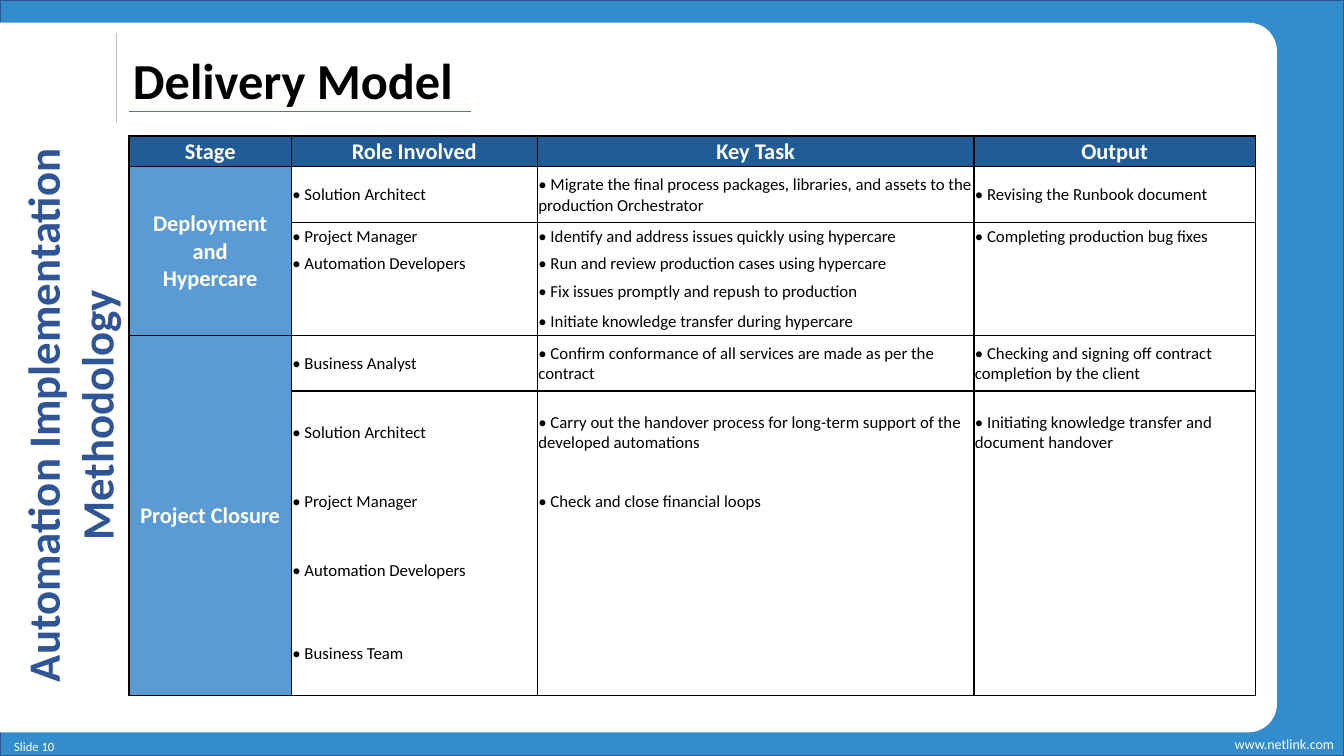
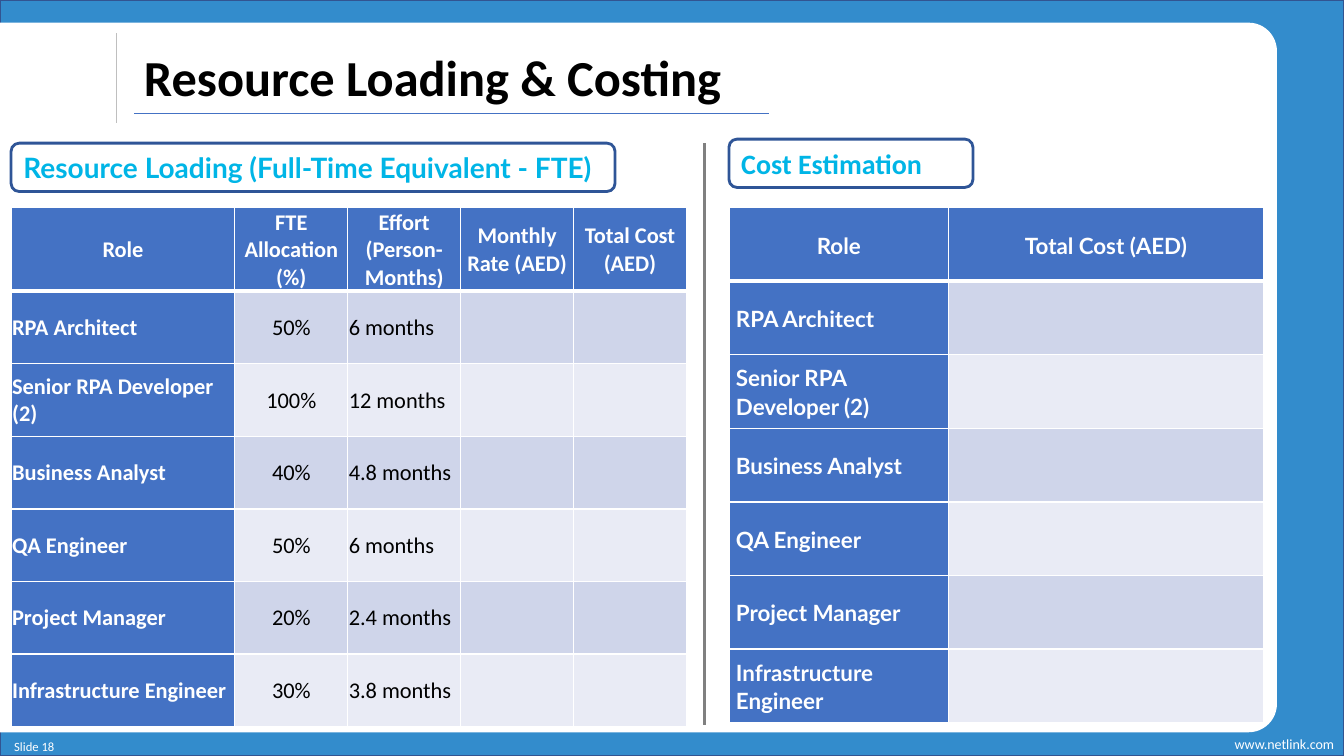
from dataclasses import dataclass, replace
from typing import Optional

from lxml.etree import SubElement
from pptx import Presentation
from pptx.dml.color import RGBColor
from pptx.enum.shapes import MSO_CONNECTOR, MSO_SHAPE
from pptx.enum.text import MSO_ANCHOR as Anchor, PP_ALIGN as Align
from pptx.oxml.ns import qn
from pptx.util import Inches, Pt

COLORS = {
    "frame": "0070C0",
    "frame_line": "325491",
    "white": "FFFFFF",
    "black": "000000",
    "divider": "BFBFBF",
    "separator": "808080",
    "accent": "4472C4",
    "navy": "2F5597",
    "cyan": "00B5E6",
    "stage_header": "215C98",
    "stage": "5B9BD5",
    "band_dark": "CFD5EA",
    "band_light": "E9EBF5",
}
PLAIN_TABLE_STYLE = "{2D5ABB26-0587-4C30-8999-92F81FD0307C}"
TIGHT = (0.01, 0.01, 0.01, 0)


@dataclass(frozen=True)
class Box:
    left: float
    top: float
    width: float
    height: float

    def lengths(self) -> list:
        return [Inches(v) for v in (self.left, self.top, self.width, self.height)]


@dataclass(frozen=True)
class TextStyle:
    size: float
    color: str = "white"
    bold: bool = False
    font: str = "Calibri"
    align: Align = Align.LEFT
    spacing: Optional[float] = None


@dataclass(frozen=True)
class CellStyle:
    text: TextStyle
    fill: str
    insets: tuple = TIGHT


@dataclass(frozen=True)
class Rule:
    start: tuple
    end: tuple
    color: str
    width: float


@dataclass(frozen=True)
class Stage:
    name: str
    heights: tuple
    columns: tuple


FOOTER_URL = TextStyle(10, align=Align.RIGHT)
FOOTER_NUMBER = TextStyle(9, align=Align.CENTER)
TITLE = TextStyle(36, "black", True)
SIDE_TITLE = TextStyle(32, "navy", True, align=Align.CENTER)
LABEL = TextStyle(20, "cyan", True)
HEADING = TextStyle(16, bold=True, align=Align.CENTER)
HEADING_LEFT = replace(HEADING, align=Align.LEFT)
TASK = CellStyle(TextStyle(12, "black"), "white")

STAGES = (
    Stage("Deployment\nand\nHypercare", (0.56, 0.27, 0.27, 0.29, 0.29), (
        ("Solution Architect", "Project Manager", "Automation Developers"),
        ("Migrate the final process packages, libraries, and assets to the "
         "production Orchestrator",
         "Identify and address issues quickly using hypercare",
         "Run and review production cases using hypercare",
         "Fix issues promptly and repush to production",
         "Initiate knowledge transfer during hypercare"),
        ("Revising the Runbook document", "Completing production bug fixes"),
    )),
    Stage("Project Closure", (0.55, 0.82, 0.55, 0.82, 0.83), (
        ("Business Analyst", "Solution Architect", "Project Manager",
         "Automation Developers", "Business Team"),
        ("Confirm conformance of all services are made as per the contract",
         "Carry out the handover process for long-term support of the "
         "developed automations",
         "Check and close financial loops"),
        ("Checking and signing off contract completion by the client",
         "Initiating knowledge transfer and document handover"),
    )),
)
RESOURCES = (
    ("RPA Architect", "50%", "6 months"),
    ("Senior RPA Developer (2)", "100%", "12 months"),
    ("Business Analyst", "40%", "4.8 months"),
    ("QA Engineer", "50%", "6 months"),
    ("Project Manager", "20%", "2.4 months"),
    ("Infrastructure Engineer", "30%", "3.8 months"),
)


def rgb(name: str) -> RGBColor:
    return RGBColor.from_string(COLORS[name])


def write(frame, text: str, style: TextStyle) -> None:
    font_values = {"size": Pt(style.size), "name": style.font, "bold": style.bold}
    for index, line in enumerate(text.split("\n")):
        paragraph = frame.paragraphs[0] if index == 0 else frame.add_paragraph()
        paragraph.alignment = style.align
        if style.spacing:
            paragraph.line_spacing = style.spacing
        if not line:
            # Keeps an empty cell from growing its row.
            paragraph._p.get_or_add_endParaRPr().set("sz", str(int(style.size * 100)))
            continue
        run = paragraph.add_run()
        run.text = line
        for name, value in font_values.items():
            setattr(run.font, name, value)
        run.font.color.rgb = rgb(style.color)


def add_text(slide, box: Box, text: str, style: TextStyle,
             anchor: Anchor = Anchor.TOP, rotation: float = 0) -> None:
    shape = slide.shapes.add_textbox(*box.lengths())
    shape.rotation = rotation
    shape.text_frame.word_wrap = True
    shape.text_frame.vertical_anchor = anchor
    write(shape.text_frame, text, style)


def add_panel(slide, kind: MSO_SHAPE, box: Box, fill: Optional[str] = None,
              line: Optional[str] = None, width: float = 1):
    shape = slide.shapes.add_shape(kind, *box.lengths())
    shape.shadow.inherit = False
    if fill:
        shape.fill.solid()
        shape.fill.fore_color.rgb = rgb(fill)
    else:
        shape.fill.background()
    if line:
        shape.line.color.rgb = rgb(line)
        shape.line.width = Pt(width)
    else:
        shape.line.fill.background()
    return shape


def add_rule(slide, rule: Rule) -> None:
    ends = [Inches(v) for v in rule.start + rule.end]
    connector = slide.shapes.add_connector(MSO_CONNECTOR.STRAIGHT, *ends)
    connector.line.color.rgb = rgb(rule.color)
    connector.line.width = Pt(rule.width)
    SubElement(connector._element.spPr, qn("a:effectLst"))


def add_label(slide, box: Box, text: str, style: TextStyle) -> None:
    shape = add_panel(slide, MSO_SHAPE.ROUNDED_RECTANGLE, box, line="navy", width=2)
    shape.text_frame.word_wrap = True
    shape.text_frame.vertical_anchor = Anchor.TOP
    write(shape.text_frame, text, style)


def add_framed_slide(presentation, number: int):
    """Add a blank slide with the blue frame, footer and title divider."""
    slide = presentation.slides.add_slide(presentation.slide_layouts[6])
    frame = add_panel(slide, MSO_SHAPE.RECTANGLE, Box(0, 0, 13.33, 7.5),
                      "frame", "frame_line")
    color = frame._element.spPr.find(qn("a:solidFill"))[0]
    SubElement(color, qn("a:alpha"), val="80000")
    page = add_panel(slide, MSO_SHAPE.ROUND_2_SAME_RECTANGLE,
                     Box(2.81, -2.59, 7.04, 12.67), "white")
    page.rotation = 90
    page.adjustments[0], page.adjustments[1] = 0.04, 0
    add_text(slide, Box(9.11, 7.27, 4.22, 0.23), "www.netlink.com",
             FOOTER_URL, Anchor.MIDDLE)
    add_text(slide, Box(-0.01, 7.28, 0.7, 0.22), f"Slide {number}", FOOTER_NUMBER)
    add_rule(slide, Rule((1.15, 0.33), (1.15, 1.22), "divider", 0.5))
    return slide


def add_table(slide, left: float, top: float, widths: tuple, heights: tuple):
    box = Box(left, top, sum(widths), sum(heights))
    table = slide.shapes.add_table(len(heights), len(widths), *box.lengths()).table
    table.first_row = table.horz_banding = False
    table._tbl.tblPr.find(qn("a:tableStyleId")).text = PLAIN_TABLE_STYLE
    for column, width in zip(table.columns, widths):
        column.width = Inches(width)
    for row, height in zip(table.rows, heights):
        row.height = Inches(height)
    return table


def set_cell(cell, text: str, style: CellStyle, color: str, borders: dict) -> None:
    """Fill one cell; borders maps the edges L, R, T, B to widths in points."""
    properties = cell._tc.get_or_add_tcPr()
    for edge in "LRTB":
        if edge in borders:
            line = SubElement(properties, qn(f"a:ln{edge}"), w=str(Pt(borders[edge])))
            solid = SubElement(line, qn("a:solidFill"))
            SubElement(solid, qn("a:srgbClr"), val=COLORS[color])
    cell.fill.solid()
    cell.fill.fore_color.rgb = rgb(style.fill)
    cell.vertical_anchor = Anchor.MIDDLE
    for side, inset in zip(("left", "top", "right", "bottom"), style.insets):
        setattr(cell, f"margin_{side}", Inches(inset))
    write(cell.text_frame, text, style.text)


def add_stage_table(slide) -> None:
    heights = (0.3,) + sum((stage.heights for stage in STAGES), ())
    table = add_table(slide, 1.28, 1.35, (1.61, 2.44, 4.33, 2.79), heights)
    box_edges = dict.fromkeys("LRTB", 1)
    for column, text in enumerate(("Stage", "Role Involved", "Key Task", "Output")):
        set_cell(table.cell(0, column), text, CellStyle(HEADING, "stage_header"),
                 "black", box_edges)
    first = 1
    for stage in STAGES:
        count = len(stage.heights)
        table.cell(first, 0).merge(table.cell(first + count - 1, 0))
        set_cell(table.cell(first, 0), stage.name, CellStyle(HEADING, "stage"),
                 "black", box_edges)
        for column, items in enumerate(stage.columns, 1):
            for index in range(count):
                edges = {"L": 1, "R": 1}
                if index == 0:
                    edges["T"] = 1
                if index == count - 1:
                    edges["B"] = 1
                text = f"• {items[index]}" if index < len(items) else ""
                set_cell(table.cell(first + index, column), text, TASK, "black", edges)
        first += count


def add_banded_table(slide, left: float, widths: tuple, heights: tuple,
                     headers: tuple, rows: list, header: CellStyle) -> None:
    table = add_table(slide, left, 2.06, widths, heights)
    role = replace(header, text=replace(header.text, align=Align.LEFT))
    for column, text in enumerate(headers):
        set_cell(table.cell(0, column), text, header, "white",
                 {"L": 1, "R": 1, "T": 1, "B": 3})
    for index, values in enumerate(rows, 1):
        band = "band_dark" if index % 2 else "band_light"
        for column in range(len(headers)):
            align = Align.CENTER if column == 1 else Align.LEFT
            value = replace(header, fill=band, text=TextStyle(16, "black", align=align))
            text = values[column] if column < len(values) else ""
            set_cell(table.cell(index, column), text, value if column else role,
                     "white", {"L": 1, "R": 1, "B": 1})


def build_delivery_slide(presentation) -> None:
    slide = add_framed_slide(presentation, 10)
    add_text(slide, Box(1.22, 0.44, 11.24, 0.71), "Delivery Model", TITLE)
    add_rule(slide, Rule((1.28, 1.1), (4.67, 1.1), "accent", 0.5))
    add_text(slide, Box(-2.28, 3.53, 5.94, 1.18),
             "Automation Implementation Methodology", SIDE_TITLE, rotation=270)
    add_stage_table(slide)


def build_costing_slide(presentation) -> None:
    slide = add_framed_slide(presentation, 18)
    add_rule(slide, Rule((1.33, 1.12), (7.63, 1.12), "accent", 0.5))
    add_text(slide, Box(1.33, 0.41, 11.24, 0.71), "Resource Loading & Costing", TITLE)
    add_label(slide, Box(0.11, 1.42, 5.99, 0.48),
              "Resource Loading (Full-Time Equivalent - FTE)",
              replace(LABEL, font="Lato"))
    add_label(slide, Box(7.23, 1.38, 2.42, 0.48), "Cost Estimation", LABEL)
    cost_text = replace(HEADING, font="Lato", spacing=1.07)
    add_banded_table(slide, 7.23, (2.18, 3.12), (0.73,) * 7,
                     ("Role", "Total Cost (AED)"),
                     [resource[:1] for resource in RESOURCES],
                     CellStyle(cost_text, "accent", (0.07, 0, 0.07, 0)))
    add_banded_table(slide, 0.11, (2.22,) + (1.12,) * 4, (0.83,) + (0.72,) * 6,
                     ("Role", "FTE Allocation (%)", "Effort (Person-Months)",
                      "Monthly Rate (AED)", "Total Cost (AED)"),
                     list(RESOURCES), CellStyle(HEADING, "accent"))
    add_rule(slide, Rule((6.99, 1.42), (6.99, 7.19), "separator", 2))


def main() -> None:
    presentation = Presentation()
    presentation.slide_width = Inches(13.33)
    presentation.slide_height = Inches(7.5)
    build_delivery_slide(presentation)
    build_costing_slide(presentation)
    presentation.save("out.pptx")


if __name__ == "__main__":
    main()
